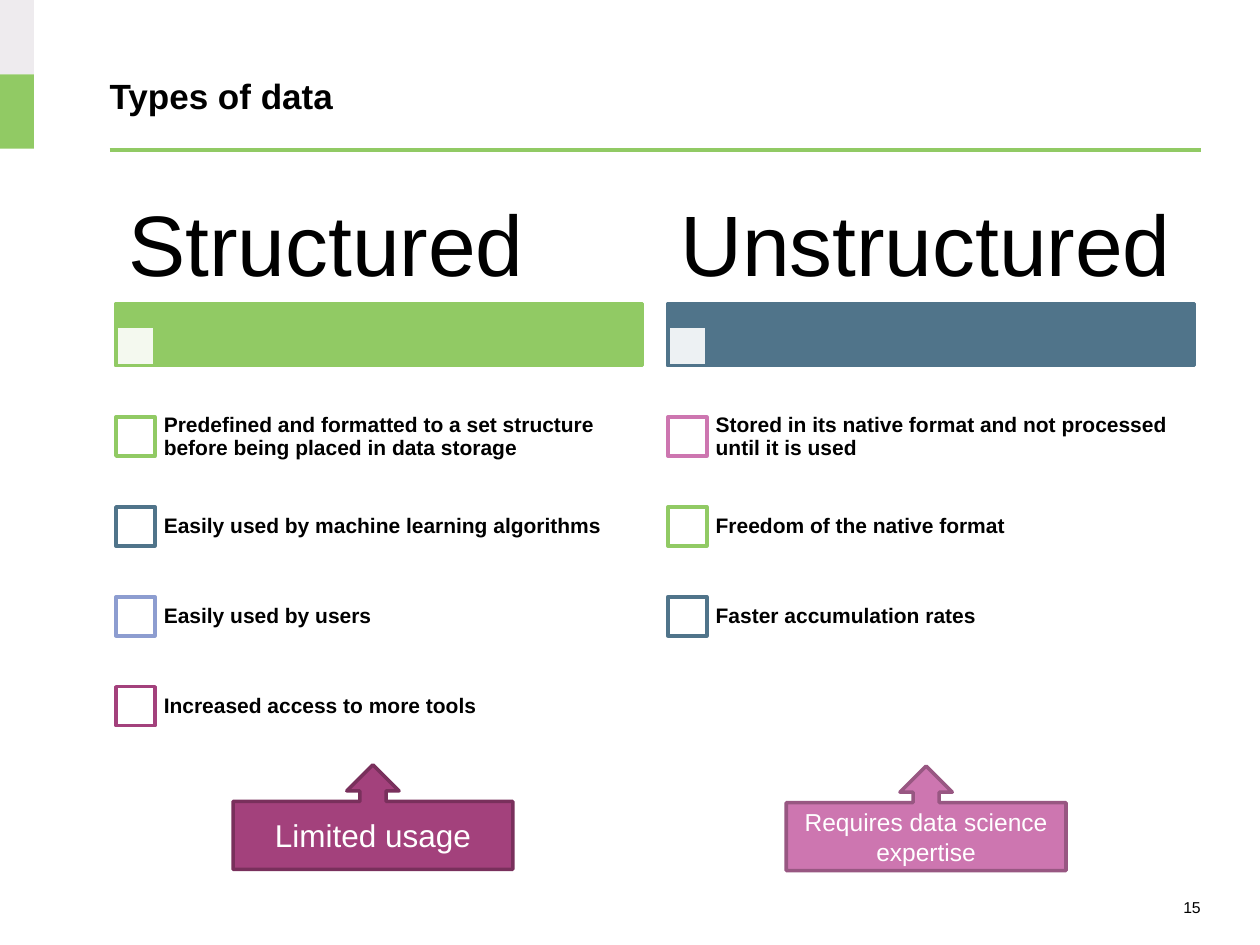
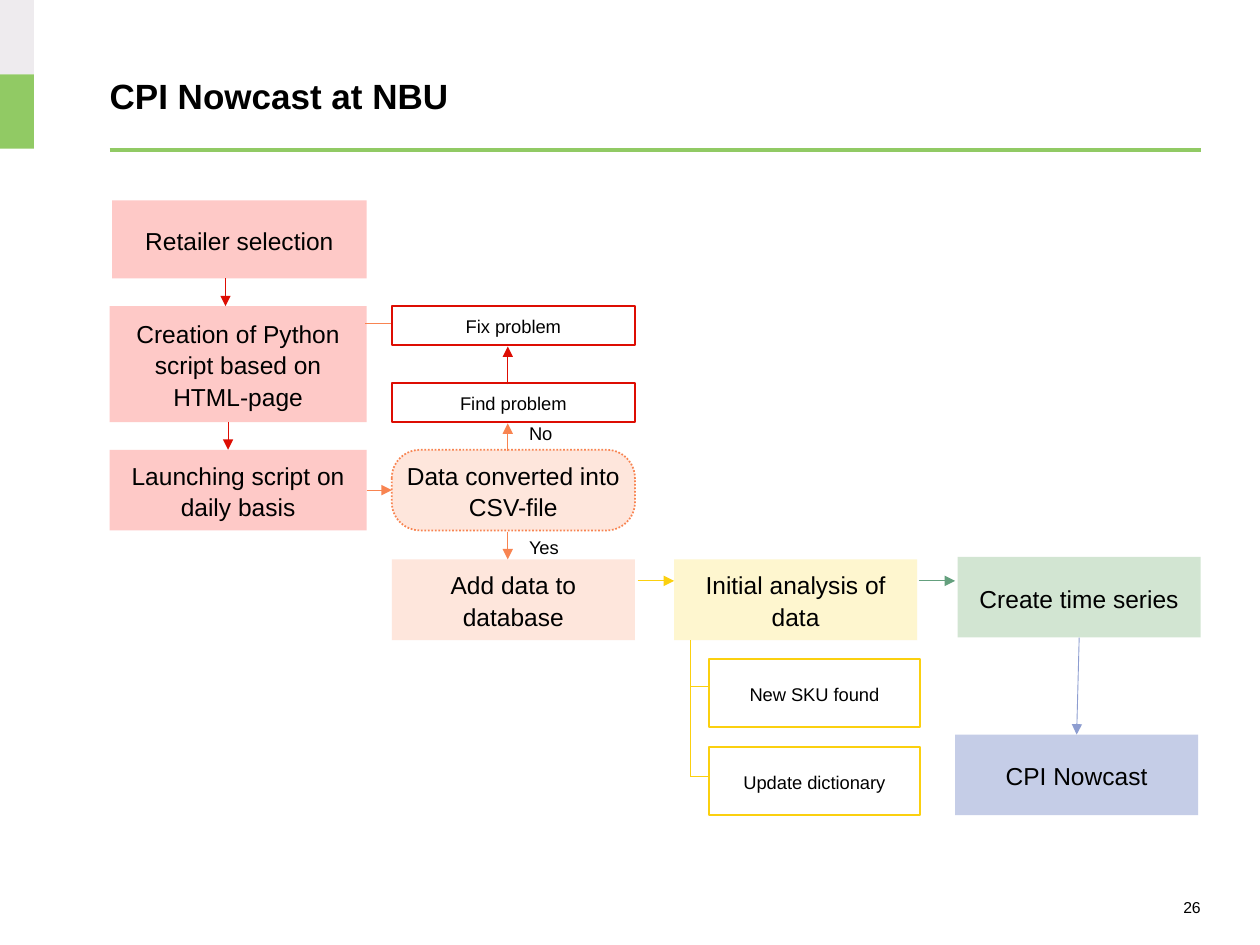
"""Build two slides: types of data, and the process behind the CPI nowcast."""
from dataclasses import dataclass
from typing import Optional

from lxml import etree
from pptx import Presentation
from pptx.dml.color import RGBColor
from pptx.enum.dml import MSO_LINE
from pptx.enum.shapes import MSO_CONNECTOR, MSO_SHAPE
from pptx.enum.text import MSO_ANCHOR, MSO_AUTO_SIZE, PP_ALIGN
from pptx.oxml.ns import qn
from pptx.shapes.autoshape import Shape
from pptx.shapes.connector import Connector
from pptx.slide import Slide
from pptx.util import Inches, Pt

RECTANGLE = MSO_SHAPE.RECTANGLE
ROUNDED = MSO_SHAPE.ROUNDED_RECTANGLE
UP_CALLOUT = MSO_SHAPE.UP_ARROW_CALLOUT
STRAIGHT = MSO_CONNECTOR.STRAIGHT
DOTTED = MSO_LINE.ROUND_DOT
LEFT, CENTER, RIGHT = PP_ALIGN.LEFT, PP_ALIGN.CENTER, PP_ALIGN.RIGHT
TOP, MIDDLE = MSO_ANCHOR.TOP, MSO_ANCHOR.MIDDLE
NO_AUTOSIZE = MSO_AUTO_SIZE.NONE
SIDE_TOP, SIDE_LEFT, SIDE_BOTTOM, SIDE_RIGHT = range(4)

FONT = "Arial"
BLACK = RGBColor(0x00, 0x00, 0x00)
WHITE = RGBColor(0xFF, 0xFF, 0xFF)
PALE_GRAY = RGBColor(0xEE, 0xEB, 0xEE)
GREEN = RGBColor(0x91, 0xCA, 0x64)
SLATE = RGBColor(0x50, 0x74, 0x8A)
PERIWINKLE = RGBColor(0x8D, 0x9D, 0xD0)
PLUM = RGBColor(0xA3, 0x41, 0x7C)
DARK_PLUM = RGBColor(0x79, 0x30, 0x5C)
PINK = RGBColor(0xCD, 0x76, 0xB0)
DARK_PINK = RGBColor(0x98, 0x57, 0x82)
RED = RGBColor(0xDD, 0x0D, 0x03)
PALE_RED = RGBColor(0xFE, 0xC9, 0xC7)
ORANGE = RGBColor(0xF8, 0x84, 0x51)
PALE_ORANGE = RGBColor(0xFE, 0xE6, 0xDC)
YELLOW = RGBColor(0xFB, 0xD0, 0x0F)
PALE_YELLOW = RGBColor(0xFE, 0xF6, 0xCF)
SEA_GREEN = RGBColor(0x64, 0xA0, 0x7E)
PALE_GREEN = RGBColor(0xD2, 0xE5, 0xD2)

MARGIN = Inches(0.87)
CONTENT_WIDTH = Inches(8.66)
BAND_WIDTH, BAND_HEIGHT = Inches(0.27), Inches(0.59)
COLUMN_WIDTH = Inches(4.18)
MARKER = Inches(0.31)
FIRST_ROW = Inches(3.31)
ROW_PITCH = Inches(2.14) // 3
CALLOUT_WIDTH, CALLOUT_HEIGHT = Inches(2.22), Inches(0.83)
STEP_WIDTH, STEP_HEIGHT = Inches(1.93), Inches(0.64)
SCRIPT_WIDTH = Inches(2.04)
PROBLEM_HEIGHT = Inches(0.31)
CHECK_WIDTH, CHECK_HEIGHT = Inches(1.67), Inches(0.54)
LARGE, SMALL = 14, 10.5


@dataclass(frozen=True)
class Column:
    """A kind of data with its traits and its drawback."""
    heading: str
    left: int
    color: RGBColor
    traits: tuple[tuple[str, RGBColor], ...]
    drawback: str
    drawback_size: float
    callout_left: int
    callout_top: int
    callout_fill: RGBColor
    callout_line: RGBColor


@dataclass(frozen=True)
class Step:
    """A box of the nowcast process."""
    text: str
    left: int
    top: int
    width: int = STEP_WIDTH
    height: int = STEP_HEIGHT
    fill: Optional[RGBColor] = None
    line: Optional[RGBColor] = None
    size: float = LARGE
    opacity: int = 100


@dataclass(frozen=True)
class Link:
    """A thin line between points given in inches."""
    start: tuple[float, float]
    end: tuple[float, float]
    color: RGBColor
    arrow: bool = True


COLUMNS = (
    Column("Structured", Inches(0.92), GREEN,
           (("Predefined and formatted to a set structure before being placed in data storage", GREEN),
            ("Easily used by machine learning algorithms", SLATE),
            ("Easily used by users", PERIWINKLE),
            ("Increased access to more tools", PLUM)),
           "Limited usage", 18, Inches(1.85), Inches(6.07), PLUM, DARK_PLUM),
    Column("Unstructured", Inches(5.3), SLATE,
           (("Stored in its native format and not processed until it is used", PINK),
            ("Freedom of the native format", GREEN),
            ("Faster accumulation rates", SLATE)),
           "Requires data science expertise", 14, Inches(6.24), Inches(6.08), PINK, DARK_PINK),
)

LAUNCH = Step("Launching script on daily basis", MARGIN, Inches(3.57), SCRIPT_WIDTH, fill=PALE_RED)
CONVERT = Step("Data converted into CSV-file", Inches(3.11), Inches(3.57), fill=PALE_ORANGE, line=ORANGE)
SERIES = Step("Create time series", Inches(7.6), Inches(4.42), fill=PALE_GREEN)
NOWCAST = Step("CPI Nowcast", Inches(7.58), Inches(5.83), fill=PERIWINKLE, opacity=50)
STEPS = (
    Step("Retailer selection", Inches(0.89), Inches(1.59), Inches(2.02), Inches(0.62), PALE_RED),
    Step("Creation of Python script based on HTML-page", MARGIN, Inches(2.43),
         SCRIPT_WIDTH, Inches(0.92), PALE_RED),
    LAUNCH,
    CONVERT,
    Step("Find problem", CONVERT.left, Inches(3.04), STEP_WIDTH, PROBLEM_HEIGHT, WHITE, RED, SMALL),
    Step("Fix problem", CONVERT.left, Inches(2.43), STEP_WIDTH, PROBLEM_HEIGHT, WHITE, RED, SMALL),
    Step("Add data to database", CONVERT.left, Inches(4.44), fill=PALE_ORANGE),
    Step("Initial analysis of data", Inches(5.35), Inches(4.44), fill=PALE_YELLOW),
    SERIES,
    Step("New SKU found", Inches(5.63), Inches(5.23), CHECK_WIDTH, CHECK_HEIGHT, line=YELLOW, size=SMALL),
    Step("Update dictionary", Inches(5.63), Inches(5.93), CHECK_WIDTH, CHECK_HEIGHT, line=YELLOW, size=SMALL),
    NOWCAST,
)
LINKS = (
    Link((1.79, 2.21), (1.79, 2.43), RED),
    Link((1.81, 3.35), (1.81, 3.57), RED),
    Link((4.03, 3.58), (4.03, 3.36), ORANGE),
    Link((4.03, 3.05), (4.03, 2.75), RED),
    Link((2.9, 2.57), (3.1, 2.57), ORANGE, arrow=False),
    Link((4.03, 4.22), (4.03, 4.44), ORANGE),
    Link((5.06, 4.61), (5.35, 4.61), YELLOW),
    Link((7.29, 4.61), (7.58, 4.61), SEA_GREEN),
    Link((5.48, 5.08), (5.48, 6.16), YELLOW, arrow=False),
    Link((5.48, 5.45), (5.62, 5.45), YELLOW, arrow=False),
    Link((5.48, 6.16), (5.62, 6.16), YELLOW, arrow=False),
)
JOINS = (
    (LAUNCH, SIDE_RIGHT, CONVERT, SIDE_LEFT, ORANGE),
    (SERIES, SIDE_BOTTOM, NOWCAST, SIDE_TOP, PERIWINKLE),
)
ANSWERS = (("No", Inches(3.29)), ("Yes", Inches(4.19)))


def write(shape: Shape, text: str, size: float, color: RGBColor = BLACK, bold: bool = False,
          align: PP_ALIGN = LEFT, anchor: MSO_ANCHOR = MIDDLE, spacing: float = 1.0,
          after: float = 0, insets: tuple[float, float] = (0.1, 0.05)) -> None:
    """Put one formatted paragraph into a shape."""
    frame = shape.text_frame
    frame.text = text
    frame.word_wrap = True
    frame.auto_size = NO_AUTOSIZE
    frame.vertical_anchor = anchor
    frame.margin_left = frame.margin_right = Inches(insets[0])
    frame.margin_top = frame.margin_bottom = Inches(insets[1])
    paragraph = frame.paragraphs[0]
    paragraph.alignment = align
    paragraph.line_spacing = spacing
    paragraph.space_after = Pt(after)
    font = paragraph.runs[0].font
    font.name, font.size, font.bold = FONT, Pt(size), bold
    font.color.rgb = color


def add_box(slide: Slide, left: int, top: int, width: int, height: int,
            fill: Optional[RGBColor], line: Optional[RGBColor] = None, line_width: float = 2,
            kind: MSO_SHAPE = RECTANGLE, opacity: int = 100) -> Shape:
    """Draw a preset shape with the given fill and outline."""
    shape = slide.shapes.add_shape(kind, left, top, width, height)
    shape.shadow.inherit = False
    if fill is None:
        shape.fill.background()
    else:
        shape.fill.solid()
        shape.fill.fore_color.rgb = fill
        if opacity < 100:
            color = shape.element.spPr.find(f"{qn('a:solidFill')}/{qn('a:srgbClr')}")
            etree.SubElement(color, qn("a:alpha"), val=str(opacity * 1000))
    if line is None:
        shape.line.fill.background()
    else:
        shape.line.color.rgb = line
        shape.line.width = Pt(line_width)
    return shape


def add_line(slide: Slide, start: tuple[int, int], end: tuple[int, int], color: RGBColor,
             width: float = 0.5, arrow: bool = False) -> Connector:
    """Draw a straight connector, with an arrowhead at its end if asked."""
    connector = slide.shapes.add_connector(STRAIGHT, *start, *end)
    connector.line.color.rgb = color
    connector.line.width = Pt(width)
    properties = connector.element.spPr
    if arrow:
        etree.SubElement(properties.find(qn("a:ln")), qn("a:tailEnd"), type="triangle")
    etree.SubElement(properties, qn("a:effectLst"))
    return connector


def add_framed_slide(presentation: Presentation, title: str, number: int) -> Slide:
    """Add a slide with the side bands, title, rule and page number."""
    slide = presentation.slides.add_slide(presentation.slide_layouts[5])
    for index, color in enumerate((PALE_GRAY, GREEN)):
        add_box(slide, 0, index * BAND_HEIGHT, BAND_WIDTH, BAND_HEIGHT, color)
    rule_top = Inches(1.19)
    add_line(slide, (MARGIN, rule_top), (MARGIN + CONTENT_WIDTH, rule_top), GREEN, 2.25)
    heading = slide.shapes.title
    heading.left, heading.top = MARGIN, Inches(0.59)
    heading.width, heading.height = CONTENT_WIDTH, Inches(0.34)
    write(heading, title, 20, bold=True, insets=(0, 0))
    page = slide.shapes.add_textbox(Inches(8.15), Inches(7.1), Inches(1.38), Inches(0.2))
    write(page, str(number), 9, align=RIGHT, insets=(0, 0))
    return slide


def add_column(slide: Slide, column: Column) -> None:
    """Draw one kind of data: heading, bar, traits and drawback."""
    add_box(slide, column.left, Inches(2.41), COLUMN_WIDTH, Inches(0.49), column.color, column.color)
    add_box(slide, column.left, Inches(2.59), MARKER, MARKER, WHITE, column.color, opacity=90)
    heading = slide.shapes.add_textbox(column.left, Inches(1.53), COLUMN_WIDTH, Inches(0.88))
    write(heading, column.heading, 49, spacing=0.9, insets=(0.1, 0.07))
    for row, (text, color) in enumerate(column.traits):
        top = FIRST_ROW + row * ROW_PITCH
        add_box(slide, column.left, top, MARKER, MARKER, WHITE, color)
        trait = slide.shapes.add_textbox(column.left + Inches(0.29), top - Inches(0.2),
                                         Inches(3.88), Inches(0.72))
        write(trait, text, 12, bold=True, spacing=0.9, insets=(0.09, 0.09))
    callout = add_box(slide, column.callout_left, column.callout_top, CALLOUT_WIDTH, CALLOUT_HEIGHT,
                      column.callout_fill, column.callout_line, kind=UP_CALLOUT)
    write(callout, column.drawback, column.drawback_size, WHITE, align=CENTER)


def add_step(slide: Slide, step: Step) -> Shape:
    """Draw a process box; the decision is rounded and dotted."""
    decision = step is CONVERT
    shape = add_box(slide, step.left, step.top, step.width, step.height, step.fill, step.line, 1,
                    ROUNDED if decision else RECTANGLE, step.opacity)
    if decision:
        shape.adjustments[0] = 0.35
        shape.line.dash_style = DOTTED
    write(shape, step.text, step.size, align=CENTER, spacing=1.07, after=8,
          insets=(0.04, 0) if decision else (0.1, 0.05))
    return shape


def add_process(slide: Slide) -> None:
    """Draw the process boxes, their links and the decision's answers."""
    boxes = {step: add_step(slide, step) for step in STEPS}
    for link in LINKS:
        start = Inches(link.start[0]), Inches(link.start[1])
        end = Inches(link.end[0]), Inches(link.end[1])
        add_line(slide, start, end, link.color, arrow=link.arrow)
    for source, source_side, target, target_side, color in JOINS:
        connector = add_line(slide, (source.left, source.top), (target.left, target.top), color, arrow=True)
        connector.begin_connect(boxes[source], source_side)
        connector.end_connect(boxes[target], target_side)
    for text, top in ANSWERS:
        answer = slide.shapes.add_textbox(Inches(4.1), top, Inches(0.55), Inches(0.4))
        write(answer, text, SMALL, anchor=TOP, spacing=1.07, after=8)


def main() -> None:
    """Build and save the presentation."""
    presentation = Presentation()
    presentation.slide_width, presentation.slide_height = Inches(10), Inches(7.5)
    types_slide = add_framed_slide(presentation, "Types of data", 15)
    for column in COLUMNS:
        add_column(types_slide, column)
    add_process(add_framed_slide(presentation, "CPI Nowcast at NBU", 26))
    presentation.save("out.pptx")


if __name__ == "__main__":
    main()
